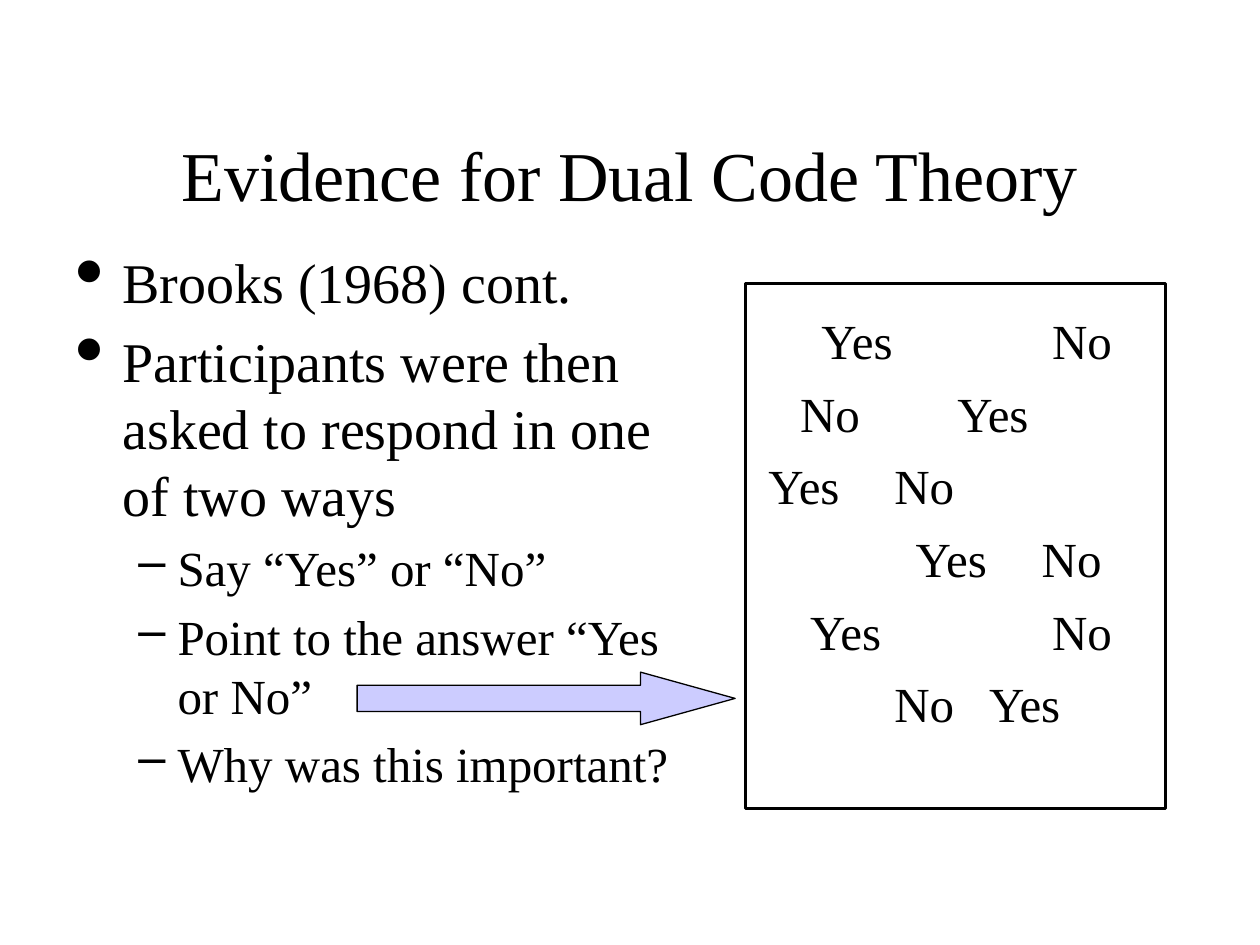
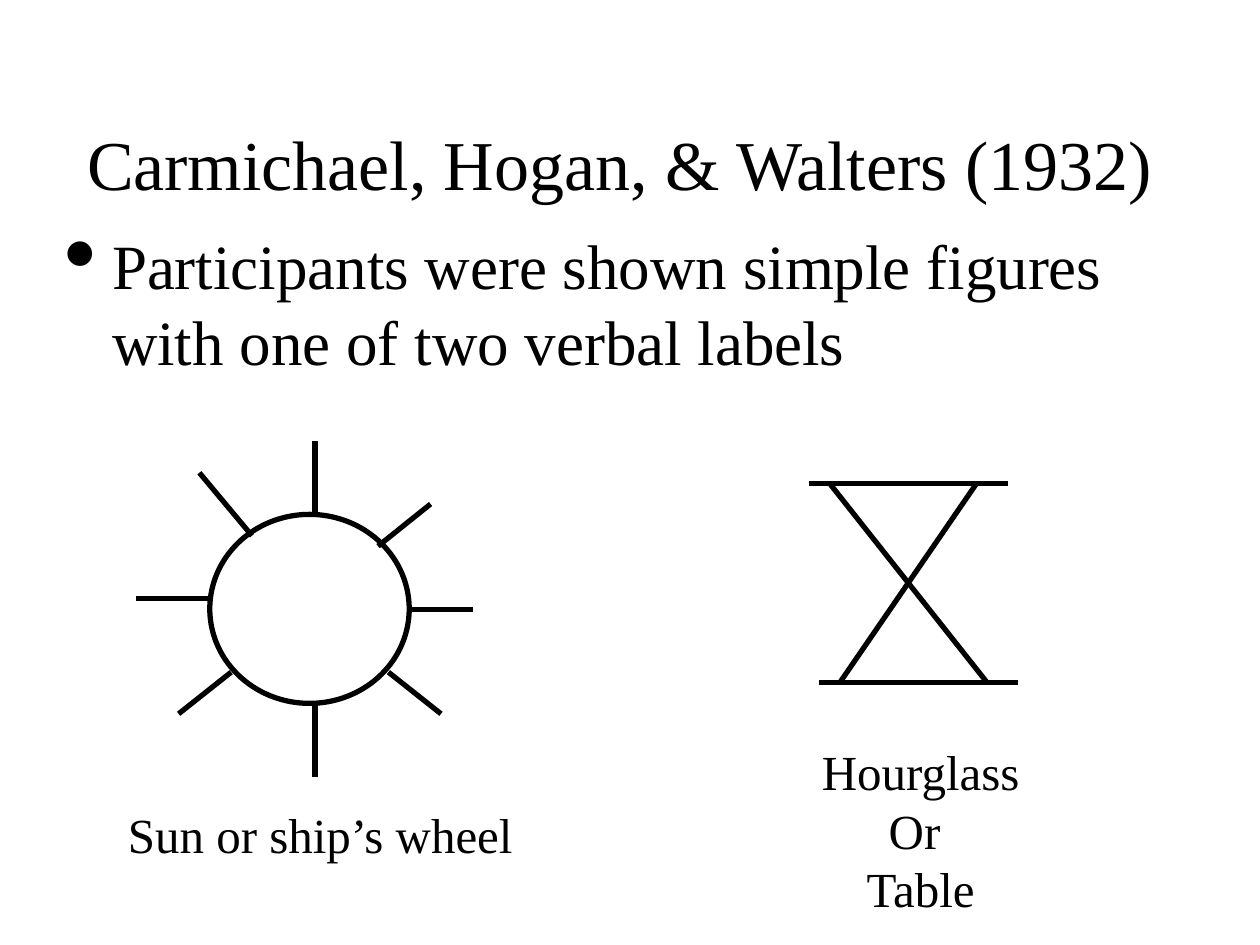
from lxml import etree
from pptx import Presentation
from pptx import util as u
from pptx.dml.color import RGBColor
from pptx.enum import shapes, text
from pptx.oxml import ns

BLACK = RGBColor(0, 0, 0)
WHITE = RGBColor(255, 255, 255)
LILAC = RGBColor(0xCC, 0xCC, 0xFF)
FONT = "Times New Roman"
LEFT, MID = text.PP_ALIGN.LEFT, text.PP_ALIGN.CENTER
LEVELS = [("•", 150, 0.95, 0.95), ("–", 100, 2.06, 0.79)]

ANSWERS = [(16.31, 20.96), (19.05, 15.88), (15.24, 17.78),
           (18.21, 20.75), (16.08, 20.96), (19.69, 17.78)]
RAYS = [(4.66, 13.55, 3.6, 14.39), (4.02, 9.53, 5.08, 10.8),
        (8.68, 10.16, 7.62, 11.01), (6.35, 8.89, 6.35, 10.37),
        (9.53, 12.28, 8.26, 12.28), (4.23, 12.07, 2.75, 12.07),
        (6.35, 14.18, 6.35, 15.66), (8.89, 14.39, 7.83, 13.55)]
TOP, BASE = 9.74, 13.76
GLASS = [(16.3, TOP, 20.32, TOP), (16.51, BASE, 20.53, BASE),
         (16.93, BASE, 19.69, TOP), (16.72, TOP, 19.9, BASE)]


def lengths(box):
    return [u.Cm(value) for value in box]


def style(para, size, align=LEFT):
    para.alignment = align
    for run in para.runs:
        run.font.name = FONT
        run.font.size = u.Pt(size)
        run.font.color.rgb = BLACK


def add_text(slide, box, words, size=28, align=LEFT, wrap=False):
    frame = slide.shapes.add_textbox(*lengths(box)).text_frame
    frame.word_wrap = wrap
    frame.text = words
    for para in frame.paragraphs:
        style(para, size, align)
    return frame


def add_title(slide, box, words):
    frame = add_text(slide, box, words, 40, MID, True)
    frame.vertical_anchor = text.MSO_ANCHOR.MIDDLE


def add_bullet(para, level):
    mark, scale, margin, hang = LEVELS[level]
    props = para._p.get_or_add_pPr()
    props.set("marL", str(u.Cm(margin)))
    props.set("indent", str(-u.Cm(hang)))
    etree.SubElement(props, ns.qn("a:buSzPct"), val=str(scale * 1000))
    etree.SubElement(props, ns.qn("a:buChar"), char=mark)


def add_body(slide, box, items):
    words = "\n".join(item[0] for item in items)
    frame = add_text(slide, box, words, wrap=True)
    for para, (_, level, size) in zip(frame.paragraphs, items):
        style(para, size)
        para.level = level
        para.space_before = u.Pt(size * 0.2)
        add_bullet(para, level)


def add_form(slide, kind, box, width, fill=None):
    form = slide.shapes.add_shape(kind, *lengths(box))
    form.shadow.inherit = False
    if fill is None:
        form.fill.background()
    else:
        form.fill.solid()
        form.fill.fore_color.rgb = fill
    form.line.color.rgb = BLACK
    form.line.width = u.Pt(width)
    return form


def add_line(slide, ends):
    line = slide.shapes.add_connector(
        shapes.MSO_CONNECTOR.STRAIGHT, *lengths(ends))
    line.line.color.rgb = BLACK
    line.line.width = u.Pt(3)
    etree.SubElement(line._element.spPr, ns.qn("a:effectLst"))


def add_slide(deck):
    slide = deck.slides.add_slide(deck.slide_layouts[6])
    slide.background.fill.solid()
    slide.background.fill.fore_color.rgb = WHITE
    return slide


def draw_brooks(slide):
    add_title(slide, (1.9, 2.97, 21.59, 1.06), "Evidence for Dual Code Theory")
    add_body(slide, (1.27, 4.87, 13.12, 12.28), [
        ("Brooks (1968) cont.", 0, 32),
        ("Participants were then asked to respond in one of two ways", 0, 32),
        ("Say “Yes” or “No”", 1, 28),
        ("Point to the answer “Yes or No”", 1, 28),
        ("Why was this important?", 1, 28)])
    kinds = shapes.MSO_SHAPE
    add_form(slide, kinds.RECTANGLE, (15.03, 5.72, 8.47, 10.58), 2)
    for row, (yes, no) in enumerate(ANSWERS):
        top = 6.14 + row * 1.464
        add_text(slide, (yes, top, 2.06, 1.44), "Yes")
        add_text(slide, (no, top, 1.73, 1.44), "No")
    arrow = add_form(slide, kinds.RIGHT_ARROW,
                     (7.2, 13.55, 7.62, 1.06), 0.75, LILAC)
    arrow.adjustments[0] = 0.5
    arrow.adjustments[1] = 1.8


def draw_labels(slide):
    add_title(slide, (1.06, 2.75, 22.86, 1.06),
              "Carmichael, Hogan, & Walters (1932)")
    add_body(slide, (1.06, 4.45, 23.28, 3.81), [
        ("Participants were shown simple figures with one of two verbal labels",
         0, 36)])
    add_form(slide, shapes.MSO_SHAPE.OVAL, (4.23, 10.37, 4.02, 3.81), 3)
    for ends in RAYS + GLASS:
        add_line(slide, ends)
    add_text(slide, (2.33, 16.09, 8.33, 1.44), "Sun or ship’s wheel")
    add_text(slide, (16.3, 14.82, 4.52, 3.81), "Hourglass\nOr \nTable",
             align=MID)


def main():
    deck = Presentation()
    deck.slide_width, deck.slide_height = u.Cm(25.4), u.Cm(19.05)
    draw_brooks(add_slide(deck))
    draw_labels(add_slide(deck))
    deck.save("out.pptx")


if __name__ == "__main__":
    main()
